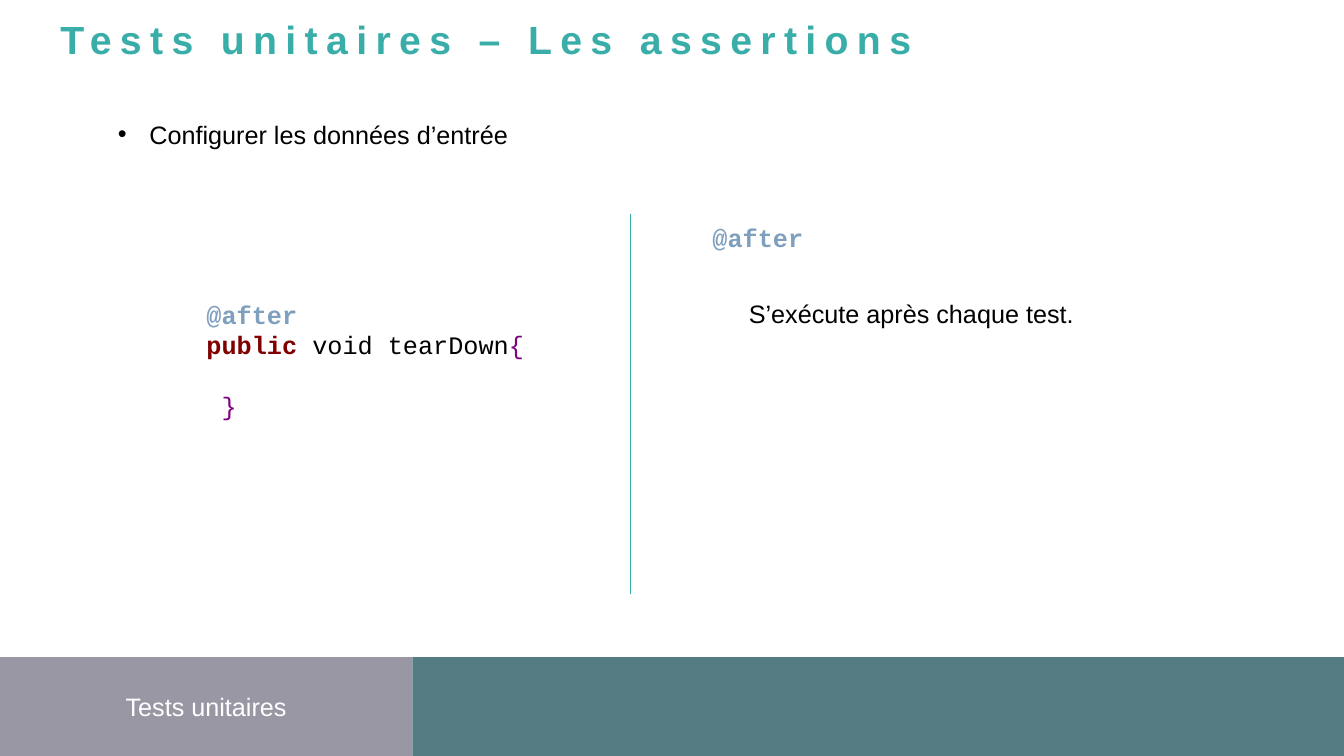
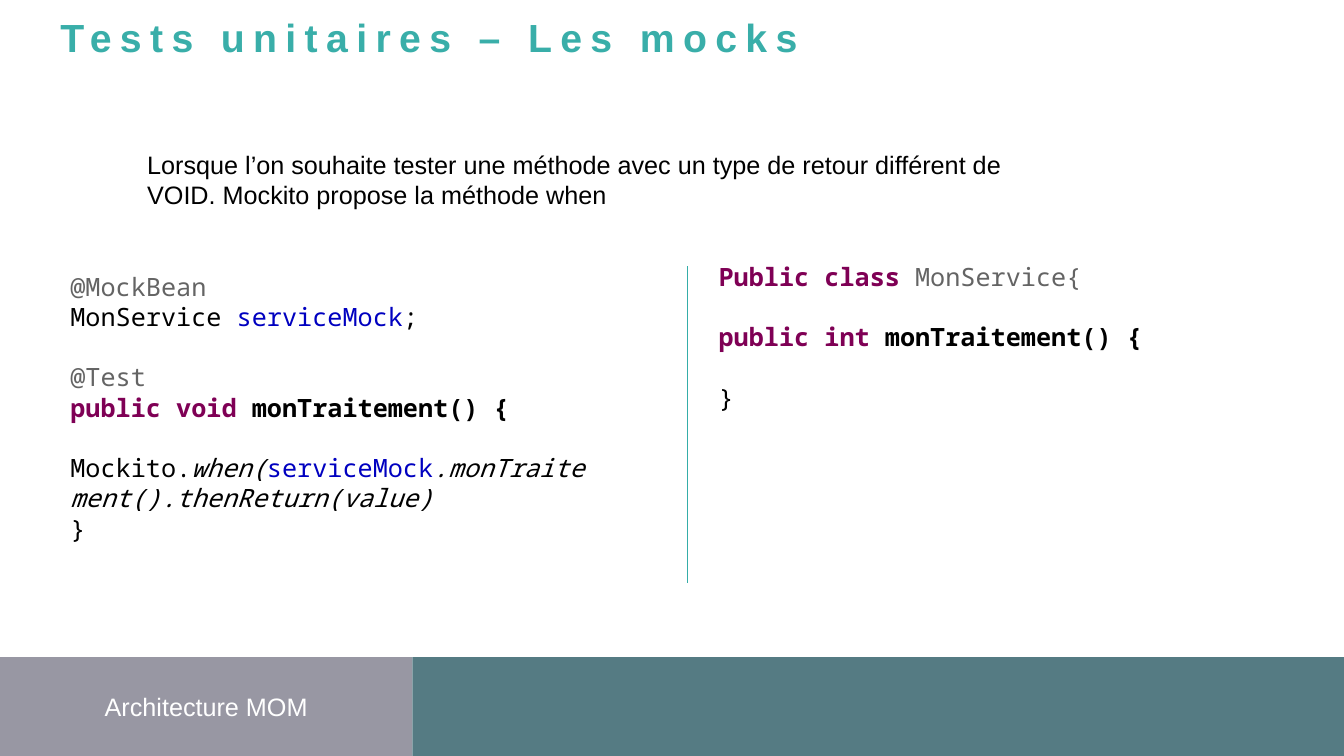
"""Build two unit-test lesson slides with a shared title style and footer."""
from dataclasses import dataclass

import lxml.etree
import pptx
import pptx.dml.color
import pptx.enum.shapes
import pptx.enum.text
import pptx.oxml.ns
import pptx.presentation
import pptx.shapes.base
import pptx.slide
import pptx.text.text
import pptx.util

Pt = pptx.util.Pt
RGBColor = pptx.dml.color.RGBColor
Anchor = pptx.enum.text.MSO_ANCHOR
Align = pptx.enum.text.PP_ALIGN

TEAL = RGBColor(0x39, 0xAE, 0xA9)
RULE = RGBColor(0x35, 0xAD, 0xA8)
SLATE = RGBColor(0x55, 0x7B, 0x83)
MAUVE = RGBColor(0x98, 0x97, 0xA3)
WHITE = RGBColor(0xFF, 0xFF, 0xFF)
BLACK = RGBColor(0x00, 0x00, 0x00)
STEEL = RGBColor(0x7F, 0x9F, 0xBF)
MAROON = RGBColor(0x80, 0x00, 0x00)
PURPLE = RGBColor(0x80, 0x00, 0x80)
GREY = RGBColor(0x64, 0x64, 0x64)
BLUE = RGBColor(0x00, 0x00, 0xC0)
PLUM = RGBColor(0x7F, 0x00, 0x55)

SANS, COURIER, MONO = "Arial", "Courier New", "Noto Sans Mono"
WIDE, HIGH = 960, 540
BAND_TOP, SPLIT = 469.4, 294.5
SIZE, LEAD = 18, 21.6
INDENT = 22.5


@dataclass(frozen=True)
class Area:
    left: float
    top: float
    width: float
    height: float


@dataclass(frozen=True)
class Run:
    text: str
    color: RGBColor = BLACK
    bold: bool = False
    slant: bool = False


@dataclass(frozen=True)
class Line:
    runs: tuple[Run, ...]
    gap: float = 0


@dataclass(frozen=True)
class Block:
    area: Area
    lines: tuple[Line, ...]
    face: str = SANS
    fill: RGBColor | None = None


@dataclass(frozen=True)
class Page:
    title: str
    head: Area
    label: str
    body: Block
    mark: bool
    rule: Area
    blocks: tuple[Block, ...]


def line(*runs: Run, gap: float = 0) -> Line:
    return Line(runs, gap)


def place(shape: pptx.shapes.base.BaseShape, area: Area) -> None:
    shape.left, shape.top = Pt(area.left), Pt(area.top)
    shape.width, shape.height = Pt(area.width), Pt(area.height)


def frame(text: pptx.text.text.TextFrame, anchor: Anchor, side: float = 7.2,
          edge: float = 3.6) -> None:
    text.word_wrap = True
    text.auto_size = pptx.enum.text.MSO_AUTO_SIZE.NONE
    text.vertical_anchor = anchor
    text.margin_left = text.margin_right = Pt(side)
    text.margin_top = text.margin_bottom = Pt(edge)


def style(font: pptx.text.text.Font, run: Run) -> None:
    font.color.rgb = run.color
    font.bold = run.bold
    font.italic = run.slant


def bullet(para: pptx.text.text._Paragraph, mark: bool) -> None:
    name = pptx.oxml.ns.qn
    props = para._p.get_or_add_pPr()
    indent = Pt(INDENT) if mark else 0
    props.set("marL", str(indent))
    props.set("indent", str(-indent))
    if mark:
        lxml.etree.SubElement(props, name("a:buFont")).set("typeface", SANS)
        lxml.etree.SubElement(props, name("a:buChar")).set("char", "•")
    else:
        lxml.etree.SubElement(props, name("a:buNone"))


def write(text: pptx.text.text.TextFrame, lines: tuple[Line, ...], face: str = SANS) -> None:
    for spot, row in enumerate(lines):
        para = text.add_paragraph() if spot else text.paragraphs[0]
        para.line_spacing = Pt(LEAD)
        para.space_before = Pt(row.gap)
        para.font.name, para.font.size = face, Pt(SIZE)
        same = len({(run.color, run.bold, run.slant) for run in row.runs}) == 1
        if same:
            style(para.font, row.runs[0])
        for run in row.runs:
            part = para.add_run()
            part.text = run.text
            if not same:
                style(part.font, run)


def head(slide: pptx.slide.Slide, page: Page) -> None:
    shape = slide.shapes.title
    place(shape, page.head)
    frame(shape.text_frame, Anchor.TOP, 0, 0)
    para = shape.text_frame.paragraphs[0]
    para.alignment = Align.LEFT
    para.line_spacing = Pt(25)
    para.font.name, para.font.size = SANS, Pt(28)
    style(para.font, Run(page.title, TEAL, True))
    run = para.add_run()
    run.text = page.title
    run._r.get_or_add_rPr().set("spc", "600")


def body(slide: pptx.slide.Slide, page: Page) -> None:
    shape = slide.placeholders[1]
    place(shape, page.body.area)
    frame(shape.text_frame, Anchor.TOP)
    bullet(shape.text_frame.paragraphs[0], page.mark)
    write(shape.text_frame, page.body.lines)


def foot(slide: pptx.slide.Slide, label: str) -> None:
    for left, right, color, words in ((0, SPLIT, MAUVE, label), (SPLIT, WIDE, SLATE, "")):
        band = slide.shapes.add_shape(
            pptx.enum.shapes.MSO_SHAPE.RECTANGLE,
            Pt(left), Pt(BAND_TOP), Pt(right - left), Pt(HIGH - BAND_TOP))
        band.shadow.inherit = False
        band.fill.solid()
        band.fill.fore_color.rgb = color
        band.line.fill.background()
        if words:
            frame(band.text_frame, Anchor.MIDDLE)
            band.text_frame.paragraphs[0].alignment = Align.CENTER
            write(band.text_frame, (line(Run(words, WHITE)),))


def rule(slide: pptx.slide.Slide, area: Area) -> None:
    link = slide.shapes.add_connector(
        pptx.enum.shapes.MSO_CONNECTOR.STRAIGHT, Pt(area.left), Pt(area.top),
        Pt(area.left + area.width), Pt(area.top + area.height))
    link.line.color.rgb = RULE
    link.line.width = Pt(0.75)
    lxml.etree.SubElement(link._element.spPr, pptx.oxml.ns.qn("a:effectLst"))


def draw(slide: pptx.slide.Slide, block: Block) -> None:
    area = block.area
    box = slide.shapes.add_textbox(Pt(area.left), Pt(area.top), Pt(area.width), Pt(area.height))
    frame(box.text_frame, Anchor.MIDDLE if block.fill else Anchor.TOP)
    if block.fill:
        box.fill.solid()
        box.fill.fore_color.rgb = block.fill
    write(box.text_frame, block.lines, block.face)


def build(deck: pptx.presentation.Presentation, page: Page) -> None:
    slide = deck.slides.add_slide(deck.slide_layouts[1])
    head(slide, page)
    foot(slide, page.label)
    body(slide, page)
    rule(slide, page.rule)
    for block in page.blocks:
        draw(slide, block)


AFTER = line(Run("@after", STEEL, True))
CALL = Run(" monTraitement() {", BLACK, True)
CLOSE = Run("}")

PAGES = (
    Page(
        "Tests unitaires – Les assertions", Area(43.2, 19.4, 676.8, 25.2), "Tests unitaires",
        Block(Area(77, 81.4, 470.9, 28.8), (line(Run("Configurer les données d’entrée")),)),
        True, Area(450.7, 152.6, 0, 271.5),
        (
            Block(Area(140.4, 210.2, 285.8, 93.6), (
                AFTER,
                line(Run("public ", MAROON, True), Run("void tearDown"), Run("{", PURPLE)),
                line(Run(" }", PURPLE), gap=LEAD),
            ), COURIER, WHITE),
            Block(Area(501.8, 155.5, 111.6, 28.8), (AFTER,), COURIER),
            Block(Area(527.8, 209.5, 291.6, 28.8), (line(Run("S’exécute après chaque test.")),)),
        ),
    ),
    Page(
        "Tests unitaires – Les mocks", Area(43.2, 18, 562.3, 25.2), "Architecture MOM",
        Block(Area(97.9, 103, 647.3, 50.4), (line(Run(
            "Lorsque l’on souhaite tester une méthode avec un type de retour "
            "différent de VOID. Mockito propose la méthode when")),)),
        False, Area(491, 190.1, 0, 226.1),
        (
            Block(Area(43.2, 190.1, 391.7, 201.6), (
                line(Run("@MockBean", GREY)),
                line(Run("MonService "), Run("serviceMock", BLUE), Run(";")),
                line(Run("@Test", GREY), gap=LEAD),
                line(Run("public void", PLUM, True), CALL),
                line(Run("Mockito."), Run("when(", slant=True), Run("serviceMock", BLUE),
                     Run(".monTraitement().thenReturn(value)", slant=True), gap=LEAD),
                line(CLOSE),
            ), MONO),
            Block(Area(506.2, 182.9, 391.7, 115.2), (
                line(Run("Public class ", PLUM, True), Run("MonService{", GREY)),
                line(Run("public int", PLUM, True), CALL, gap=LEAD),
                line(CLOSE, gap=LEAD),
            ), MONO),
        ),
    ),
)


def main() -> None:
    deck = pptx.Presentation()
    deck.slide_width, deck.slide_height = Pt(WIDE), Pt(HIGH)
    for page in PAGES:
        build(deck, page)
    deck.save("out.pptx")


if __name__ == "__main__":
    main()
